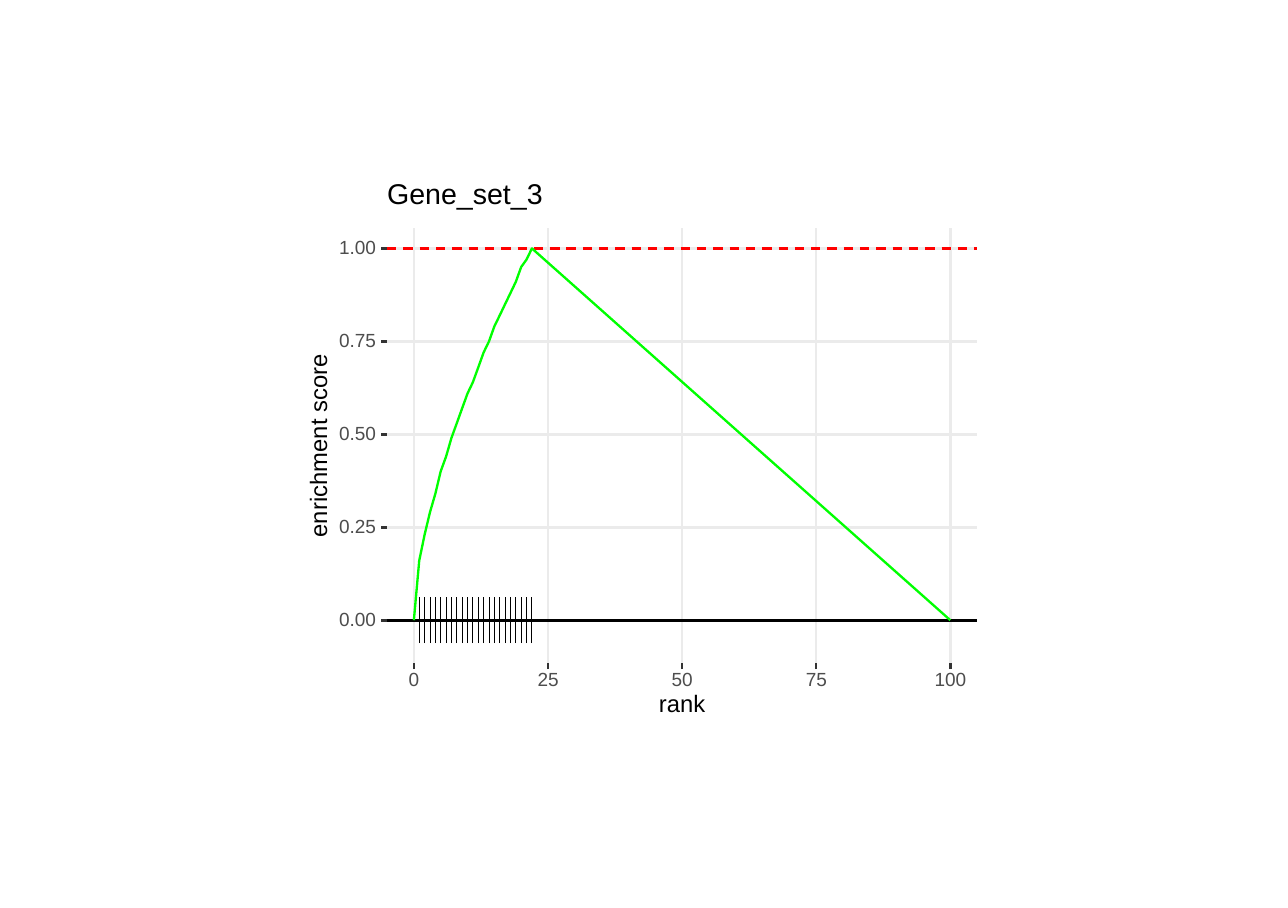
import pptx
import pptx.chart.data
import pptx.dml.color
import pptx.enum.chart
import pptx.enum.dml
import pptx.enum.shapes
import pptx.enum.text
import pptx.oxml
import pptx.oxml.ns
import pptx.util

SCALE = 914400 / 155.7
FONT = "Arial"
BLACK = pptx.dml.color.RGBColor(0x00, 0x00, 0x00)
LABEL_GREY = pptx.dml.color.RGBColor(0x4D, 0x4D, 0x4D)
TICK_GREY = pptx.dml.color.RGBColor(0x33, 0x33, 0x33)
GRID_GREY = pptx.dml.color.RGBColor(0xEB, 0xEB, 0xEB)
GREEN = pptx.dml.color.RGBColor(0x00, 0xFF, 0x00)
RED = pptx.dml.color.RGBColor(0xFF, 0x00, 0x00)
ALIGN = pptx.enum.text.PP_ALIGN

# Panel edges in pixels and the data ranges they stand for
LEFT, TOP, RIGHT, BOTTOM = 387, 228, 977, 663
RANK_MIN, RANK_MAX = -5, 105
SCORE_MIN, SCORE_MAX = -0.115, 1.055
RANK_TICKS = (0, 25, 50, 75, 100)
SCORE_TICKS = (0, 0.25, 0.5, 0.75, 1)
TICK_LENGTH = 6
HIT_TOP, HIT_BOTTOM = 597, 643

# Running score at ranks 0 to 22; it then falls straight to zero at 100
SCORES = (0, 0.16, 0.23, 0.29, 0.34, 0.40, 0.44, 0.49, 0.53, 0.57, 0.61, 0.64,
          0.68, 0.72, 0.75, 0.79, 0.82, 0.85, 0.88, 0.91, 0.95, 0.97, 1)
LAST_RANK = 100
HIT_RANKS = range(1, len(SCORES))


def px(length):
    return pptx.util.Emu(round(length * SCALE))


def rank_x(rank):
    return LEFT + (rank - RANK_MIN) / (RANK_MAX - RANK_MIN) * (RIGHT - LEFT)


def score_y(score):
    return BOTTOM - (score - SCORE_MIN) / (SCORE_MAX - SCORE_MIN) * (BOTTOM - TOP)


def add_line(slide, x1, y1, x2, y2, color, width=1.07):
    line = slide.shapes.add_connector(
        pptx.enum.shapes.MSO_CONNECTOR.STRAIGHT, px(x1), px(y1), px(x2), px(y2))
    line.line.color.rgb = color
    line.line.width = pptx.util.Pt(width)
    line.element.spPr.append(pptx.oxml.parse_xml(
        f'<a:effectLst {pptx.oxml.ns.nsdecls("a")}/>'))
    return line


def add_score_line(slide, score, color):
    return add_line(slide, LEFT, score_y(score), RIGHT, score_y(score), color)


def format_text(shape, text, size, color, align):
    frame = shape.text_frame
    frame.text = text
    frame.auto_size = pptx.enum.text.MSO_AUTO_SIZE.NONE
    frame.word_wrap = False
    frame.vertical_anchor = pptx.enum.text.MSO_ANCHOR.MIDDLE
    frame.margin_left = frame.margin_right = 0
    frame.margin_top = frame.margin_bottom = 0
    paragraph = frame.paragraphs[0]
    paragraph.alignment = align
    paragraph.line_spacing = pptx.util.Pt(size)
    font = paragraph.runs[0].font
    font.name = FONT
    font.size = pptx.util.Pt(size)
    font.color.rgb = color


def add_label(slide, x, y, w, h, text, size, color, align=ALIGN.CENTER):
    label = slide.shapes.add_textbox(px(x), px(y), px(w), px(h))
    format_text(label, text, size, color, align)
    return label


def add_title(slide, text):
    title = slide.shapes.title
    title.left, title.top, title.width, title.height = map(px, (387, 183, 156, 26))
    format_text(title, text, 13.2, BLACK, ALIGN.LEFT)


def add_grid(slide):
    for score in SCORE_TICKS:
        add_score_line(slide, score, GRID_GREY)
    for rank in RANK_TICKS:
        add_line(slide, rank_x(rank), BOTTOM, rank_x(rank), TOP, GRID_GREY)


def add_axes(slide):
    for score in SCORE_TICKS:
        y = score_y(score)
        add_line(slide, LEFT - TICK_LENGTH, y, LEFT, y, TICK_GREY)
        add_label(slide, 339, y - 7, 37, 14, f"{score:.2f}", 8.8, LABEL_GREY, ALIGN.RIGHT)
    for rank in RANK_TICKS:
        x = rank_x(rank)
        add_line(slide, x, BOTTOM + TICK_LENGTH, x, BOTTOM, TICK_GREY)
        width = 11 * len(str(rank))
        add_label(slide, x - width / 2, 674, width, 14, str(rank), 8.8, LABEL_GREY)
    add_label(slide, 659, 697, 46, 17, "rank", 11, BLACK)
    score_title = add_label(slide, 229, 437, 182, 17, "enrichment score", 11, BLACK)
    score_title.rotation = 270


def fill_frame(chart):
    """Let the plot area fill the whole transparent chart frame."""
    clear = f'<c:spPr {pptx.oxml.ns.nsdecls("c", "a")}><a:noFill/><a:ln><a:noFill/></a:ln></c:spPr>'
    plot_area = chart.element.chart.plotArea
    for layout in plot_area.findall(pptx.oxml.ns.qn("c:layout")):
        plot_area.remove(layout)
    plot_area.insert(0, pptx.oxml.parse_xml(
        f'<c:layout {pptx.oxml.ns.nsdecls("c")}><c:manualLayout>'
        '<c:layoutTarget val="inner"/><c:xMode val="edge"/><c:yMode val="edge"/>'
        '<c:x val="0"/><c:y val="0"/><c:w val="1"/><c:h val="1"/>'
        '</c:manualLayout></c:layout>'))
    plot_area.append(pptx.oxml.parse_xml(clear))
    chart.element.chart.addnext(pptx.oxml.parse_xml(clear))


def add_score_chart(slide):
    data = pptx.chart.data.XyChartData()
    curve = data.add_series("enrichment score")
    for rank, score in (*enumerate(SCORES), (LAST_RANK, 0)):
        curve.add_data_point(rank, score)
    chart = slide.shapes.add_chart(
        pptx.enum.chart.XL_CHART_TYPE.XY_SCATTER_LINES_NO_MARKERS, px(LEFT), px(TOP),
        px(RIGHT - LEFT), px(BOTTOM - TOP), data).chart
    chart.has_title = False
    chart.has_legend = False
    chart.font.name = FONT
    chart.font.size = pptx.util.Pt(8.8)
    chart.font.color.rgb = LABEL_GREY
    chart.plots[0].vary_by_categories = False

    for axis, low, high in ((chart.category_axis, RANK_MIN, RANK_MAX),
                            (chart.value_axis, SCORE_MIN, SCORE_MAX)):
        axis.minimum_scale, axis.maximum_scale = low, high
        axis.has_major_gridlines = False
        axis.visible = False

    score_series = chart.plots[0].series[0]
    score_series.smooth = False
    score_series.format.line.color.rgb = GREEN
    score_series.format.line.width = pptx.util.Pt(1.07)
    score_series.marker.style = pptx.enum.chart.XL_MARKER_STYLE.NONE
    fill_frame(chart)


def main():
    deck = pptx.Presentation()
    deck.slide_width = pptx.util.Inches(8.27)
    deck.slide_height = pptx.util.Inches(5.83)
    slide = deck.slides.add_slide(deck.slide_layouts.get_by_name("Title Only"))

    add_title(slide, "Gene_set_3")
    add_grid(slide)
    # Maximum score and zero baseline
    maximum = add_score_line(slide, max(SCORES), RED)
    maximum.line.dash_style = pptx.enum.dml.MSO_LINE.DASH
    add_score_line(slide, 0, BLACK)
    # Ranks that hold a gene of the set
    for rank in HIT_RANKS:
        add_line(slide, rank_x(rank), HIT_BOTTOM, rank_x(rank), HIT_TOP, BLACK, 0.43)
    add_score_chart(slide)
    add_axes(slide)
    deck.save("out.pptx")


main()
